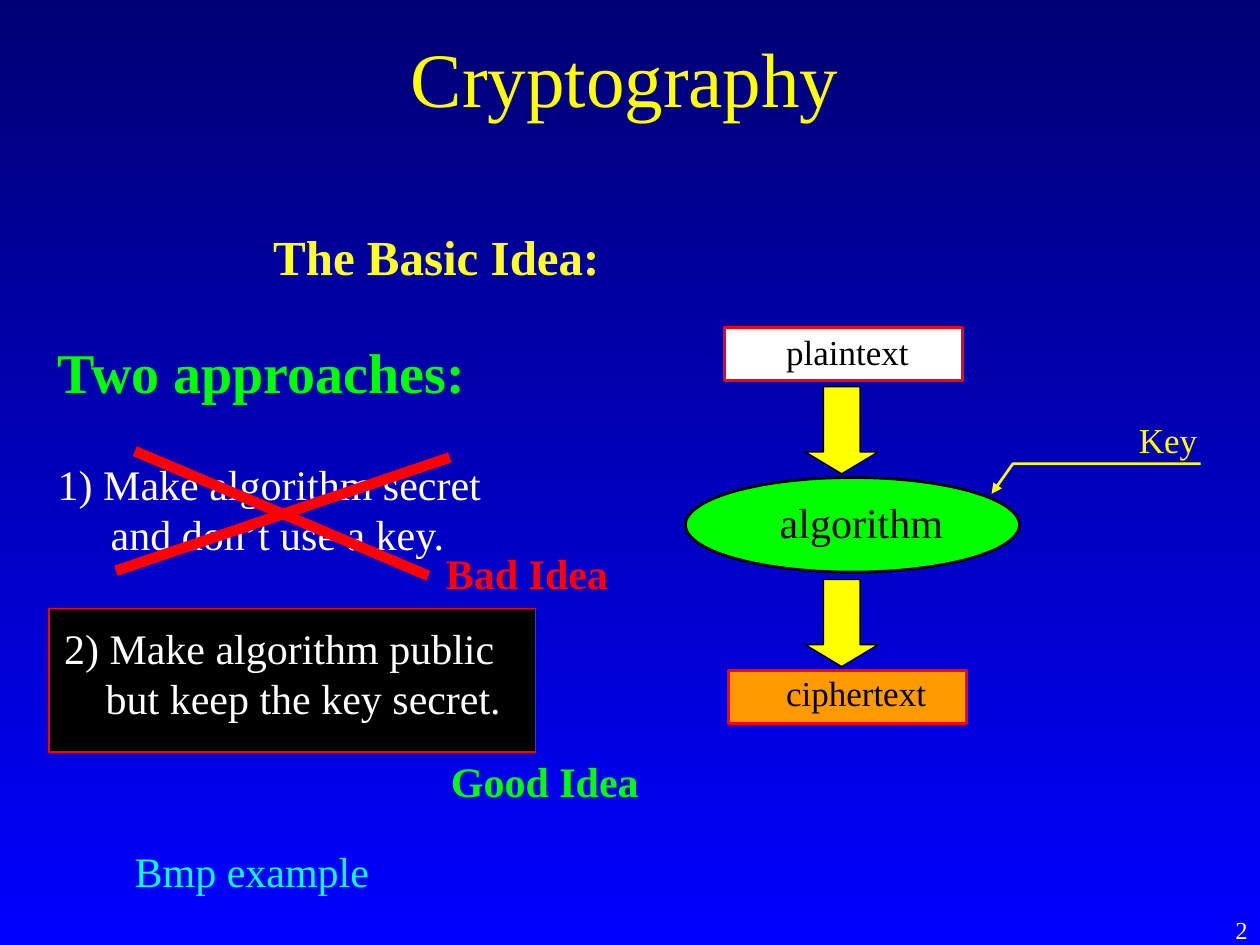
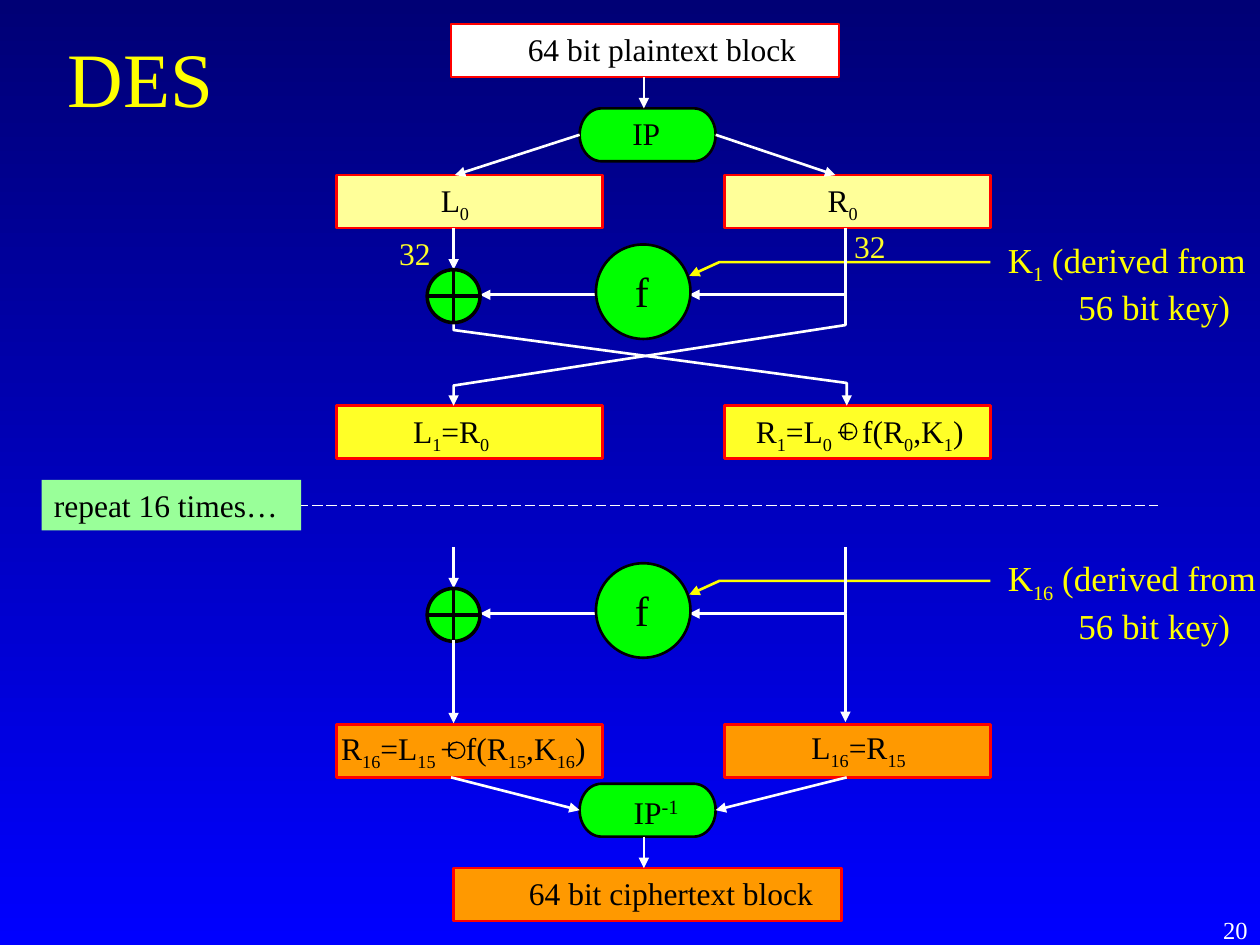
from dataclasses import dataclass

from lxml import etree
from pptx import Presentation
from pptx.dml.color import RGBColor
from pptx.enum.dml import MSO_LINE_DASH_STYLE
from pptx.enum.shapes import MSO_CONNECTOR, MSO_SHAPE
from pptx.enum.text import MSO_ANCHOR, MSO_AUTO_SIZE, PP_ALIGN
from pptx.oxml.ns import qn
from pptx.shapes.autoshape import Shape
from pptx.shapes.connector import Connector
from pptx.slide import Slide
from pptx.util import Inches, Pt

RECTANGLE = MSO_SHAPE.RECTANGLE
OVAL = MSO_SHAPE.OVAL
DOWN_ARROW = MSO_SHAPE.DOWN_ARROW
TERMINATOR = MSO_SHAPE.FLOWCHART_TERMINATOR
XOR = MSO_SHAPE.FLOWCHART_OR
STRAIGHT = MSO_CONNECTOR.STRAIGHT
ELBOW = MSO_CONNECTOR.ELBOW
LONG_DASH = MSO_LINE_DASH_STYLE.LONG_DASH
LEFT, CENTER, RIGHT = PP_ALIGN.LEFT, PP_ALIGN.CENTER, PP_ALIGN.RIGHT
TOP, MIDDLE = MSO_ANCHOR.TOP, MSO_ANCHOR.MIDDLE
GROW, FIXED = MSO_AUTO_SIZE.SHAPE_TO_FIT_TEXT, MSO_AUTO_SIZE.NONE
LEFT_SIDE, RIGHT_SIDE = 1, 3

NAVY = RGBColor(0x00, 0x00, 0x75)
BLUE = RGBColor(0x00, 0x00, 0xFF)
BLACK = RGBColor(0x00, 0x00, 0x00)
WHITE = RGBColor(0xFF, 0xFF, 0xFF)
RED = RGBColor(0xFF, 0x00, 0x00)
GREEN = RGBColor(0x00, 0xFF, 0x00)
MINT = RGBColor(0x99, 0xFF, 0x99)
CYAN = RGBColor(0x00, 0xFF, 0xFF)
YELLOW = RGBColor(0xFF, 0xFF, 0x00)
LEMON = RGBColor(0xFF, 0xFF, 0x27)
CREAM = RGBColor(0xFF, 0xFF, 0x99)
ORANGE = RGBColor(0xFF, 0x99, 0x00)

FONT = "Times New Roman"
LEFT_LANE, MIDDLE_LANE, RIGHT_LANE = 3.6, 5.11, 6.71
BLOCK_LEFTS = (2.67, 5.75)
BLOCK_WIDTH, BLOCK_HEIGHT = 2.11, 0.42
ROUND_TOPS = (1.81, 4.34)

Box = tuple[float, float, float, float]
Point = tuple[float, float]


@dataclass(frozen=True)
class Label:
    text: str
    box: Box
    size: float = 18
    color: RGBColor = BLACK
    bold: bool = False
    indent: float = 0


@dataclass(frozen=True)
class Node:
    kind: MSO_SHAPE
    box: Box
    fill: RGBColor | None
    line: RGBColor | None = RED
    weight: float = 1.5


def write_text(shape: Shape, text: str, *, size: float = 18, color: RGBColor = BLACK,
               bold: bool = False, indent: float = 0, align: PP_ALIGN = LEFT,
               anchor: MSO_ANCHOR = TOP, fit: MSO_AUTO_SIZE = GROW,
               baseline: int = -25000, script_size: float | None = None) -> None:
    frame = shape.text_frame
    frame.word_wrap = True
    frame.auto_size = fit
    frame.vertical_anchor = anchor
    for line_number, line in enumerate(text.split("\n")):
        paragraph = frame.add_paragraph() if line_number else frame.paragraphs[0]
        paragraph.alignment = align
        if line_number and indent:
            paragraph._p.get_or_add_pPr().set("marL", str(Inches(indent)))
        for part_number, part in enumerate(line.split("~")):
            if not part:
                continue
            is_script = part_number % 2 == 1
            run = paragraph.add_run()
            run.text = part
            run.font.name = FONT
            run.font.size = Pt(script_size if is_script and script_size else size)
            run.font.bold = bold
            run.font.color.rgb = color
            if is_script:
                run.font._element.set("baseline", str(baseline))


def add_text(slide: Slide, box: Box, text: str, **text_format) -> None:
    write_text(slide.shapes.add_textbox(*map(Inches, box)), text, **text_format)


def add_label(slide: Slide, label: Label) -> None:
    add_text(slide, label.box, label.text, size=label.size, color=label.color,
             bold=label.bold, indent=label.indent)


def add_node(slide: Slide, node: Node) -> Shape:
    shape = slide.shapes.add_shape(node.kind, *map(Inches, node.box))
    shape.shadow.inherit = False
    if node.fill is None:
        shape.fill.background()
    else:
        shape.fill.solid()
        shape.fill.fore_color.rgb = node.fill
    if node.line is None:
        shape.line.fill.background()
    else:
        shape.line.color.rgb = node.line
        shape.line.width = Pt(node.weight)
    return shape


def style_line(line_shape: Shape | Connector, color: RGBColor, weight: float, arrow: bool) -> None:
    line_shape.line.color.rgb = color
    line_shape.line.width = Pt(weight)
    if arrow:
        outline = line_shape.line._get_or_add_ln()
        etree.SubElement(outline, qn("a:tailEnd"), type="triangle")


def add_line(slide: Slide, start: Point, end: Point, color: RGBColor = WHITE,
             weight: float = 1.5, arrow: bool = True,
             kind: MSO_CONNECTOR = STRAIGHT) -> Connector:
    connector = slide.shapes.add_connector(kind, *map(Inches, (*start, *end)))
    style_line(connector, color, weight, arrow)
    etree.SubElement(connector._element.spPr, qn("a:effectLst"))
    return connector


def add_corner_arrow(slide: Slide, start: Point, end: Point) -> None:
    across, down = start[0] - end[0], end[1] - start[1]
    center_x, center_y = (start[0] + end[0]) / 2, (start[1] + end[1]) / 2
    connector = add_line(slide, (center_x - down / 2, center_y - across / 2),
                         (center_x + down / 2, center_y + across / 2), kind=ELBOW)
    properties = connector._element.spPr
    properties.find(qn("a:xfrm")).set("rot", "5400000")
    properties.find(qn("a:prstGeom")).set("prst", "bentConnector2")


def add_path_arrow(slide: Slide, points: list[Point], color: RGBColor = WHITE) -> None:
    corners = [(Inches(x), Inches(y)) for x, y in points]
    builder = slide.shapes.build_freeform(*corners[0])
    builder.add_line_segments(corners[1:], close=False)
    shape = builder.convert_to_shape()
    shape.shadow.inherit = False
    shape.fill.background()
    style_line(shape, color, 1.5, True)


def add_slide(presentation: Presentation, title: str, title_box: Box, number: str) -> Slide:
    slide = presentation.slides.add_slide(presentation.slide_layouts[6])
    add_text(slide, title_box, title, size=44, color=YELLOW,
             align=CENTER, anchor=MIDDLE, fit=FIXED)
    add_text(slide, (7.92, 7.21, 2.08, 0.29), number, size=14, color=WHITE,
             align=RIGHT, fit=FIXED)
    return slide


def build_cryptography(presentation: Presentation) -> None:
    slide = add_slide(presentation, "Cryptography", (0.71, 0.18, 8.5, 0.85), "2")
    add_path_arrow(slide, [(9.53, 3.68), (8.04, 3.68), (7.87, 3.92)], YELLOW)
    nodes = (
        Node(RECTANGLE, (0.39, 4.83, 3.86, 1.14), BLACK, weight=0.75),
        Node(RECTANGLE, (5.75, 2.6, 1.89, 0.42), WHITE),
        Node(OVAL, (5.44, 3.79, 2.65, 0.75), GREEN, BLACK),
        Node(RECTANGLE, (5.78, 5.32, 1.89, 0.42), ORANGE),
    )
    for node in nodes:
        add_node(slide, node)
    for arrow_top in (3.07, 4.6):
        arrow = add_node(slide, Node(DOWN_ARROW, (6.39, arrow_top, 0.58, 0.69), YELLOW, BLACK, 0.75))
        arrow.adjustments[1] = 0.3
    labels = (
        Label("The Basic Idea:", (2.07, 1.75, 2.85, 0.57), 28, LEMON, True),
        Label("Two approaches:", (0.36, 2.63, 3.55, 0.64), 32, GREEN, True),
        Label("1) Make algorithm secret\nand don’t use a key.", (0.36, 3.59, 3.65, 0.9),
              24, WHITE, indent=0.42),
        Label("2) Make algorithm public\nbut keep the key secret.", (0.41, 4.89, 3.75, 0.9),
              24, WHITE, indent=0.33),
        Label("Good Idea", (3.48, 5.95, 1.75, 0.5), 24, GREEN, True),
        Label("Bmp example", (0.97, 6.66, 2.12, 0.5), 24, CYAN),
        Label("plaintext", (6.14, 2.57, 1.25, 0.44), 20),
        Label("algorithm", (6.09, 3.89, 1.6, 0.5), 24),
        Label("Key", (8.94, 3.27, 0.74, 0.44), 20, YELLOW),
        Label("ciphertext", (6.14, 5.28, 1.38, 0.44), 20),
    )
    for label in labels:
        add_label(slide, label)
    add_line(slide, (3.57, 3.63), (0.92, 4.53), RED, 6, arrow=False)
    add_line(slide, (3.4, 4.57), (1.07, 3.58), RED, 6, arrow=False)
    add_label(slide, Label("Bad Idea", (3.44, 4.3, 1.55, 0.5), 24, RED, True))


def add_round(slide: Slide, top: float, key: str) -> None:
    middle = top + 0.53
    add_path_arrow(slide, [(7.86, top + 0.27), (5.71, top + 0.27), (5.47, top + 0.38)], YELLOW)
    add_corner_arrow(slide, (RIGHT_LANE, top), (5.47, middle))
    add_line(slide, (LEFT_LANE, top), (LEFT_LANE, top + 0.33))
    add_line(slide, (4.73, middle), (3.81, middle))
    add_node(slide, Node(OVAL, (4.73, top + 0.13, 0.75, 0.75), GREEN, BLACK))
    add_label(slide, Label("f", (4.94, top + 0.25, 0.45, 0.5), 24))
    add_node(slide, Node(XOR, (3.39, top + 0.33, 0.42, 0.42), GREEN, BLACK, 2))
    add_label(slide, Label(f"K~{key}~ (derived from\n56 bit key)",
                           (7.9, top + 0.03, 2.2, 0.82), 20, YELLOW, indent=0.56))


def build_des(presentation: Presentation) -> None:
    slide = add_slide(presentation, "DES", (0.19, 0.24, 1.85, 0.74), "20")
    add_node(slide, Node(RECTANGLE, (3.58, 0.19, 3.08, 0.42), WHITE))
    permutation, inverse = [
        add_node(slide, Node(TERMINATOR, (4.6, top, 1.08, 0.42), GREEN, BLACK))
        for top in (0.86, 6.22)
    ]
    add_node(slide, Node(RECTANGLE, (3.6, 6.89, 3.08, 0.42), ORANGE))
    for top, fill in ((1.39, CREAM), (3.22, LEMON), (5.75, ORANGE)):
        for left in BLOCK_LEFTS:
            add_node(slide, Node(RECTANGLE, (left, top, BLOCK_WIDTH, BLOCK_HEIGHT), fill))

    for top in (0.61, 6.64):
        add_line(slide, (MIDDLE_LANE, top), (MIDDLE_LANE, top + 0.25))
    for side, edge, split_end, merge_start in ((LEFT_SIDE, 4.6, 3.61, 3.58),
                                               (RIGHT_SIDE, 5.68, 6.63, 6.72)):
        split = add_line(slide, (edge, 1.07), (split_end, 1.39))
        split.begin_connect(permutation, side)
        merge = add_line(slide, (merge_start, 6.17), (edge, 6.43))
        merge.end_connect(inverse, side)

    add_path_arrow(slide, [(RIGHT_LANE, 2.33), (RIGHT_LANE, 2.58),
                           (LEFT_LANE, 3.06), (LEFT_LANE, 3.22)])
    add_path_arrow(slide, [(LEFT_LANE, 2.55), (LEFT_LANE, 2.62), (6.72, 3.04), (6.72, 3.22)])
    for top, key in zip(ROUND_TOPS, ("1", "16")):
        add_round(slide, top, key)
    add_line(slide, (LEFT_LANE, 5.08), (LEFT_LANE, 5.74))
    add_line(slide, (RIGHT_LANE, 4.87), (RIGHT_LANE, 5.73))

    divider = add_line(slide, (1.69, 4.01), (9.19, 4.01), weight=0.75, arrow=False)
    divider.line.dash_style = LONG_DASH
    repeat_note = add_node(slide, Node(RECTANGLE, (0.33, 3.81, 2.06, 0.4), MINT, None))
    write_text(repeat_note, "repeat 16 times…")

    labels = (
        Label("64 bit plaintext block", (4.09, 0.19, 2.45, 0.4)),
        Label("IP", (4.92, 0.86, 0.5, 0.4)),
        Label("L~0~", (3.4, 1.39, 0.5, 0.44)),
        Label("R~0~", (6.47, 1.39, 0.5, 0.44)),
        Label("32", (3.07, 1.81, 0.52, 0.4), color=LEMON),
        Label("32", (6.68, 1.75, 0.52, 0.4), color=LEMON),
        Label("L~1~=R~0~", (3.18, 3.22, 0.88, 0.44)),
        Label("R~1~=L~0 ~+ f(R~0~,K~1~)", (5.9, 3.22, 1.96, 0.44)),
        Label("R~16~=L~15 ~+ f(R~15~,K~16~)", (2.61, 5.74, 2.43, 0.44)),
        Label("L~16~=R~15~", (6.34, 5.73, 1.05, 0.44)),
        Label("64 bit ciphertext block", (4.1, 6.89, 2.56, 0.4)),
    )
    for label in labels:
        add_label(slide, label)
    add_text(slide, (4.93, 6.22, 0.65, 0.44), "IP~-1~", baseline=30000, script_size=20)
    for left, top in ((6.67, 3.36), (3.56, 5.89)):
        add_node(slide, Node(OVAL, (left, top, 0.13, 0.13), None, BLACK, 0.75))


def main() -> None:
    presentation = Presentation()
    presentation.slide_width, presentation.slide_height = Inches(10), Inches(7.5)
    background = presentation.slide_master.background.fill
    background.gradient()
    background.gradient_angle = 270
    for stop, color in zip(background.gradient_stops, (NAVY, BLUE)):
        stop.color.rgb = color
    build_cryptography(presentation)
    build_des(presentation)
    presentation.save("out.pptx")


if __name__ == "__main__":
    main()
